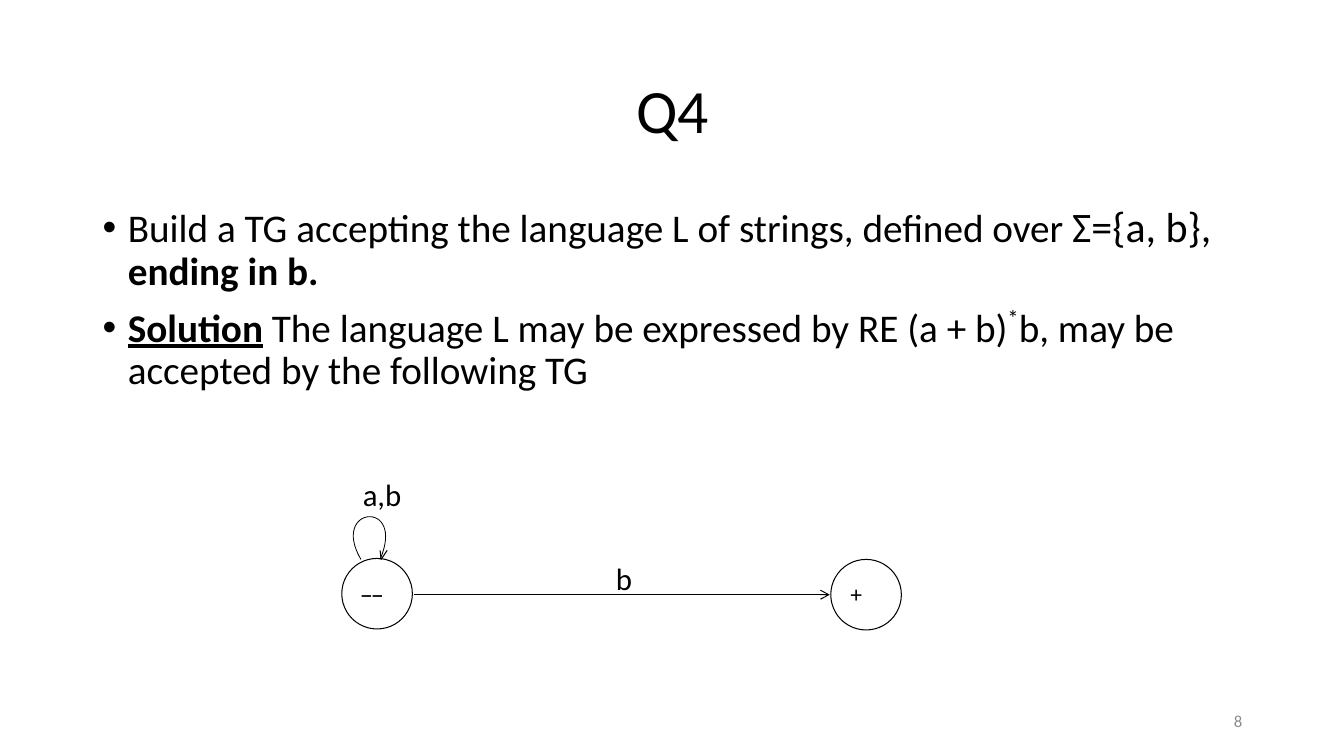
"""Builds the Q4 slide: a task, its solution and a two-state transition graph."""
from lxml.etree import SubElement as Sub
from pptx import Presentation
from pptx.dml.color import RGBColor as Rgb
from pptx.enum.shapes import MSO_CONNECTOR as Conn, MSO_SHAPE as Kind
from pptx.enum.text import MSO_ANCHOR as Anchor, PP_ALIGN as Align
from pptx.oxml.ns import qn
from pptx.util import Inches as Inch, Pt

THEME = dict(ink="000000", paper="FFFFFF", mute="8C8C8C", font="Calibri", mark="Noto Sans",
             title=44, body=28, sigma=30, label=22, sign=16, page=12, line=0.75, thin=0.6)

BODY = [
    [("Build a TG accepting the language L of strings, defined over ", ""),
     ("Σ={a, b},", "big"), (" ", ""), ("ending in b.", "bold")],
    [("Solution", "bold under"), (" ", "bold"),
     ("The language L may be expressed by RE (a + b)", ""), ("*", "super"),
     ("b, may be accepted by the following TG", "")],
]
STATES = [("––", 3.39, 5.54), ("+", 8.24, 5.55)]
LABELS = [("b", 6.01, 5.5), ("a,b", 3.5, 4.67)]
SIZE = 0.7
LOOP = [(3.58, 5.55), (3.27, 5.02), (4.03, 4.95), (3.77, 5.55)]
TIP = (3.78, 5.55)
BARBS = [(3.84, 5.46), (3.77, 5.46)]
STEPS = 32

deck = Presentation()
deck.slide_width, deck.slide_height = Inch(13.33), Inch(7.5)
slide = deck.slides.add_slide(deck.slide_layouts[6])
shapes = slide.shapes


def tint(name):
    return Rgb.from_string(THEME[name])


def style(run, size, ink="ink", font="font"):
    run.font.size, run.font.name = Pt(THEME[size]), THEME[font]
    run.font.color.rgb = tint(ink)


def box(x, y, w, h, anchor=Anchor.TOP):
    frame = shapes.add_textbox(*map(Inch, (x, y, w, h))).text_frame
    frame.word_wrap, frame.vertical_anchor = True, anchor
    return frame


def note(text, area, size, align=Align.LEFT, anchor=Anchor.TOP, **look):
    frame = box(*area, anchor)
    frame.text = text
    para = frame.paragraphs[0]
    para.alignment = align
    style(para.runs[0], size, **look)
    return frame


def stroke(shape, width="line"):
    shape.line.color.rgb, shape.line.width = tint("ink"), Pt(THEME[width])


def link(start, end, head=False):
    edge = shapes.add_connector(Conn.STRAIGHT, *map(Inch, start + end))
    stroke(edge)
    if head:
        Sub(edge.line._get_or_add_ln(), qn("a:tailEnd"), type="arrow")
    Sub(edge._element.spPr, qn("a:effectLst"))


def bullet(para):
    para.line_spacing, para.space_before = 0.9, Pt(10)
    props = para._p.get_or_add_pPr()
    props.set("marL", str(Inch(0.25)))
    props.set("indent", str(-Inch(0.25)))
    Sub(props, qn("a:buFont"), typeface="Arial")
    Sub(props, qn("a:buChar"), char="•")


def curve(t):
    u = 1 - t
    parts = (u ** 3, 3 * u * u * t, 3 * u * t * t, t ** 3)
    return tuple(Inch(sum(k * p[axis] for k, p in zip(parts, LOOP))) for axis in (0, 1))


note("8", (9.42, 6.95, 3, 0.4), "page", Align.RIGHT, Anchor.MIDDLE, ink="mute")
title = note("Q4", (0.92, 0.4, 11.5, 1.45), "title", Align.CENTER, Anchor.MIDDLE)
title.paragraphs[0].line_spacing = 0.9

frame = box(0.92, 2, 11.5, 4.76)
for i, parts in enumerate(BODY):
    para = frame.add_paragraph() if i else frame.paragraphs[0]
    bullet(para)
    for text, look in parts:
        run = para.add_run()
        run.text = text
        style(run, "sigma" if "big" in look else "body")
        run.font.bold, run.font.underline = "bold" in look, "under" in look
        if "super" in look:
            run.font._element.set("baseline", "40000")

link((4.11, 5.9), (8.23, 5.9), head=True)
for sign, x, y in STATES:
    ring = shapes.add_shape(Kind.OVAL, *map(Inch, (x, y, SIZE, SIZE)))
    ring.shadow.inherit = False
    ring.fill.solid()
    ring.fill.fore_color.rgb = tint("paper")
    stroke(ring)
    mark = note(sign, (x + 0.09, y + 0.17, SIZE, SIZE / 2), "sign", font="mark")
for text, x, y in LABELS:
    note(text, (x, y, 1.37, 0.51), "label")

pen = shapes.build_freeform(*curve(0))
pen.add_line_segments([curve(i / STEPS) for i in range(1, STEPS + 1)], close=False)
loop = pen.convert_to_shape()
loop.shadow.inherit = False
loop.fill.background()
stroke(loop, "thin")
for barb in BARBS:
    link(barb, TIP)

deck.save("out.pptx")
